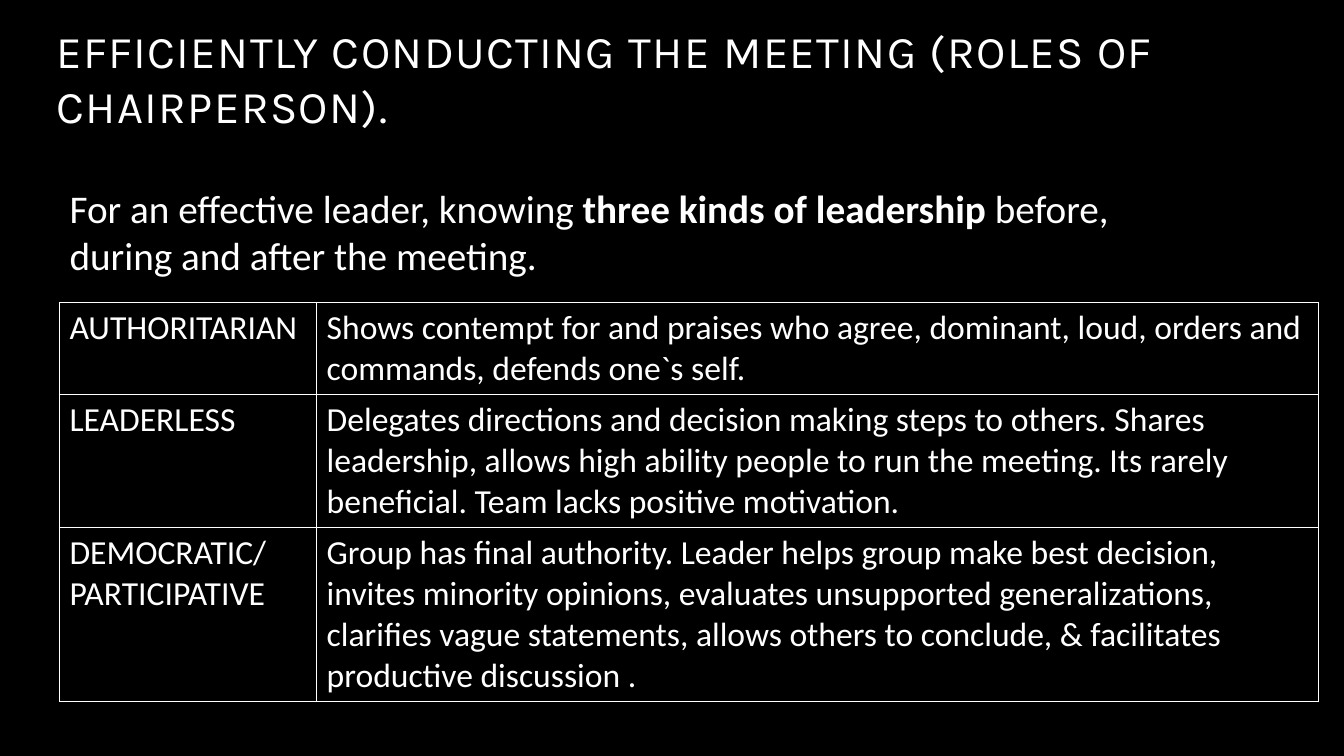
from lxml.etree import SubElement
from pptx import Presentation
from pptx.dml.color import RGBColor
from pptx.enum.text import MSO_ANCHOR as Anchor, MSO_AUTO_SIZE as AutoSize, PP_ALIGN as Align
from pptx.oxml.ns import qn
from pptx.util import Cm, Pt

COLORS = {"background": "000000", "text": "FFFFFF", "border": "FFFFFF"}
LEADERSHIP_KINDS = [
    ("AUTHORITARIAN",
     "Shows contempt for and praises who agree, dominant, loud, orders and "
     "commands, defends one`s self."),
    ("LEADERLESS",
     "Delegates directions and decision making steps to others. Shares leadership, "
     "allows high ability people to run the meeting. Its rarely beneficial. "
     "Team lacks positive motivation."),
    ("DEMOCRATIC/ PARTICIPATIVE",
     "Group has final authority. Leader helps group make best decision, invites "
     "minority opinions, evaluates unsupported generalizations, clarifies vague "
     "statements, allows others to conclude, & facilitates productive discussion ."),
]


def format_font(font, name, size):
    font.name = name
    font.size = Pt(size)
    font.color.rgb = RGBColor.from_string(COLORS["text"])


def place_placeholder(shape, box):
    shape.left, shape.top, shape.width, shape.height = box
    frame = shape.text_frame
    frame.word_wrap = True
    frame.auto_size = AutoSize.NONE
    frame.vertical_anchor = Anchor.MIDDLE
    return frame


def add_title(slide, box):
    frame = place_placeholder(slide.shapes.title, box)
    frame.text = "EFFICIENTLY CONDUCTING THE MEETING (ROLES OF CHAIRPERSON)."
    paragraph = frame.paragraphs[0]
    paragraph.alignment = Align.LEFT
    run = paragraph.runs[0]
    format_font(run.font, "Karla", 32.4)
    run.font._element.set("spc", "100")


def add_introduction(slide, box):
    frame = place_placeholder(slide.placeholders[1], box)
    frame.margin_bottom = Cm(1.52)
    paragraph = frame.paragraphs[0]
    properties = paragraph._p.get_or_add_pPr()
    properties.set("marL", "0")
    properties.set("indent", "0")
    SubElement(properties, qn("a:buNone"))
    paragraph.space_before = Pt(0)
    for text, bold in (
        ("For an effective leader, knowing ", False),
        ("three kinds of leadership ", True),
        ("before, during and after the meeting.", False),
    ):
        run = paragraph.add_run()
        run.text = text
        format_font(run.font, "Calibri", 28)
        run.font.bold = bold


def add_borders(cell):
    properties = cell._tc.get_or_add_tcPr()
    for position, side in enumerate(("a:lnL", "a:lnR", "a:lnT", "a:lnB")):
        line = properties.makeelement(qn(side), {"w": str(Pt(1))})
        fill = SubElement(line, qn("a:solidFill"))
        SubElement(fill, qn("a:srgbClr"), {"val": COLORS["border"]})
        properties.insert(position, line)


def add_leadership_table(slide, box):
    left, top, width, height = box
    table = slide.shapes.add_table(len(LEADERSHIP_KINDS), 2, left, top, width, height).table
    table.first_row = False
    table.horz_banding = False
    table.columns[0].width = Cm(6.48)
    table.columns[1].width = width - Cm(6.48)
    for row, row_height in zip(table.rows, (2.31, 3.35, 4.39)):
        row.height = Cm(row_height)
    for row, texts in zip(table.rows, LEADERSHIP_KINDS):
        for cell, text in zip(row.cells, texts):
            cell.text = text
            cell.fill.background()
            format_font(cell.text_frame.paragraphs[0].runs[0].font, "Calibri", 24)
            add_borders(cell)


def add_leadership_slide(presentation):
    slide = presentation.slides.add_slide(presentation.slide_layouts[1])
    background = slide.background.fill
    background.solid()
    background.fore_color.rgb = RGBColor.from_string(COLORS["background"])
    add_title(slide, (Cm(1.17), Cm(0.69), Cm(30.68), Cm(2.54)))
    add_introduction(slide, (Cm(1.5), Cm(4.29), Cm(26.87), Cm(4.45)))
    add_leadership_table(slide, (Cm(1.5), Cm(7.62), Cm(31.72), Cm(10.05)))


def main():
    presentation = Presentation()
    presentation.slide_width = Cm(33.87)
    presentation.slide_height = Cm(19.05)
    add_leadership_slide(presentation)
    presentation.save("out.pptx")


if __name__ == "__main__":
    main()
